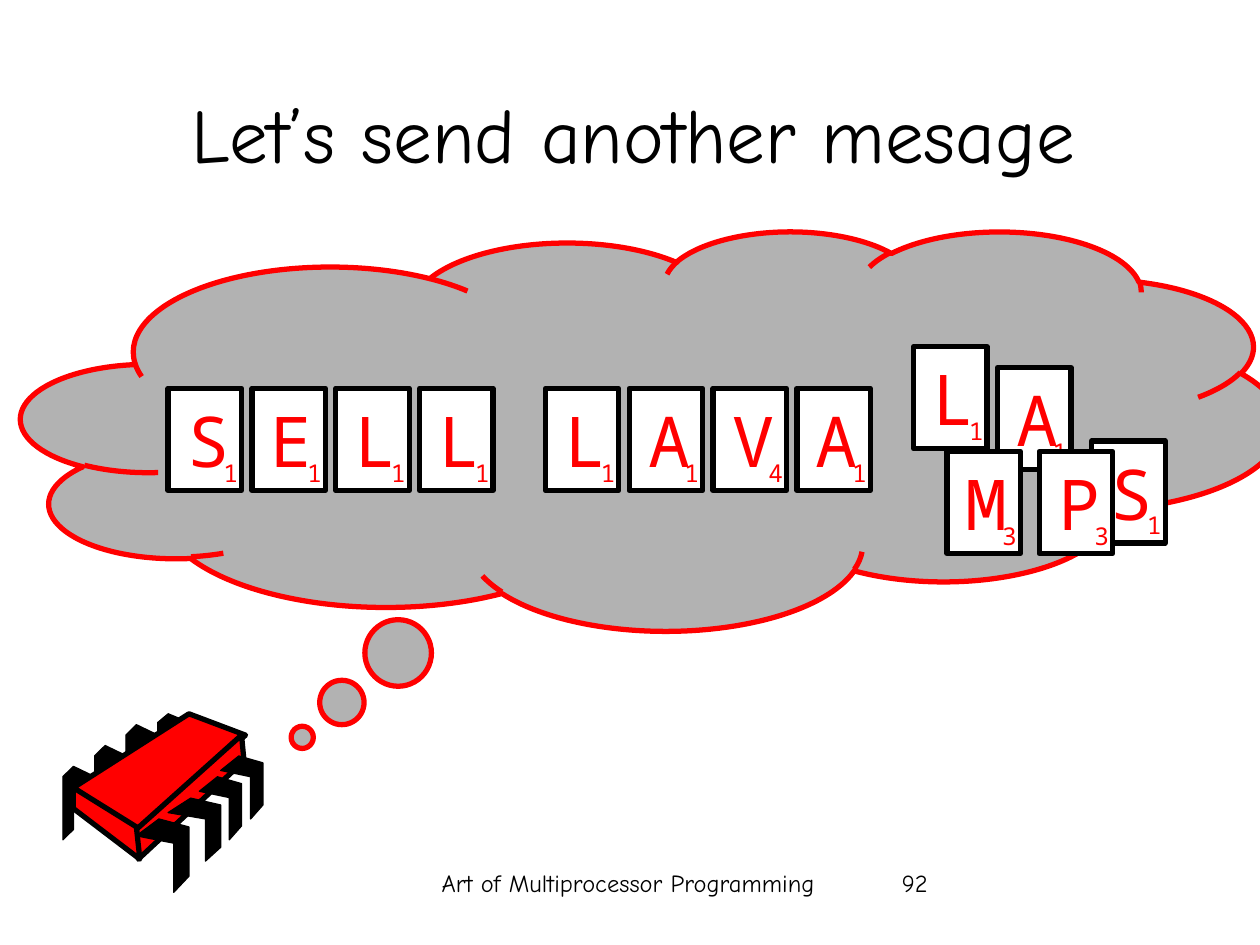
"""Build the slide with a chip thinking of a message in letter tiles."""
from pptx import Presentation
from pptx.dml.color import RGBColor
from pptx.enum.shapes import MSO_SHAPE
from pptx.enum.text import MSO_ANCHOR, MSO_AUTO_SIZE, PP_ALIGN
from pptx.util import Cm, Pt

hue = RGBColor.from_string


def write(shape, text, font="Comic Neue", size=14, color="000000",
          align=PP_ALIGN.LEFT, anchor=MSO_ANCHOR.TOP, wrap=True):
    """Fill a shape with one formatted paragraph."""
    frame = shape.text_frame
    frame.text = text
    frame.auto_size = MSO_AUTO_SIZE.NONE
    frame.word_wrap = wrap
    frame.vertical_anchor = anchor
    line = frame.paragraphs[0]
    line.alignment = align
    line.font.name = font
    line.font.size = Pt(size)
    line.font.color.rgb = hue(color)


def paint(shape, fill, edge="000000", width=3):
    """Set fill and outline, without a shadow."""
    shape.shadow.inherit = False
    shape.fill.solid()
    shape.fill.fore_color.rgb = hue(fill)
    shape.line.color.rgb = hue(edge)
    shape.line.width = Pt(width)


deck = Presentation()
deck.slide_width, deck.slide_height = Cm(25.4), Cm(19.05)
slide = deck.slides.add_slide(deck.slide_layouts[5])
shapes = slide.shapes

title = shapes.title
title.left, title.top, title.width, title.height = Cm(1.98), Cm(1.09), Cm(21.59), Cm(3.18)
write(title, "Let’s send another mesage", size=44,
      align=PP_ALIGN.CENTER, anchor=MSO_ANCHOR.MIDDLE)

foot = shapes.add_textbox(Cm(8.64), Cm(17.37), Cm(8.05), Cm(1.27))
write(foot, "Art of Multiprocessor Programming", align=PP_ALIGN.CENTER)
page = shapes.add_textbox(Cm(17.93), Cm(17.37), Cm(5.28), Cm(1.27))
write(page, "92")

cloud = shapes.add_shape(MSO_SHAPE.CLOUD_CALLOUT, Cm(0.43), Cm(4.65), Cm(25.4), Cm(8.05))
cloud.adjustments[0], cloud.adjustments[1] = -0.277, 0.769
paint(cloud, "B2B2B2", edge="FF0000")

back = [(1, 0.14), (0.33, 0), (0, 0.14), (0, 1), (0.33, 0.86), (0.33, 0.29), (1, 0.43)]
front = [(0.43, 0), (0, 0.23), (0.71, 0.33), (0.71, 1), (1, 0.78), (1, 0.11)]
body = [
    [(3.81, 14.39), (1.48, 15.88), (2.79, 16.76), (4.95, 14.82)],
    [(4.87, 14.82), (2.75, 16.72), (2.79, 17.32), (4.92, 15.34)],
    [(1.48, 15.88), (1.48, 16.3), (2.82, 17.32), (2.75, 16.67)],
]
legs = [
    (back, 1.27, 15.45, 0.64, 1.48), (back, 1.91, 15.03, 0.64, 1.48),
    (back, 2.54, 14.61, 0.64, 1.48), (back, 3.18, 14.39, 0.64, 1.27),
    (front, 2.75, 16.51, 1.06, 1.48), (front, 3.39, 16.09, 1.06, 1.27),
    (front, 4.02, 15.66, 0.85, 1.27), (front, 4.45, 15.24, 0.85, 1.27),
]
parts = [([(x + u * w, y + v * h) for u, v in form], "000000", 0.75)
         for form, x, y, w, h in legs]
parts[4:4] = [(side, "FF0000", 3) for side in body]
for spots, fill, width in parts:
    spots = [(Cm(x), Cm(y)) for x, y in spots]
    pen = shapes.build_freeform(*spots[0])
    pen.add_line_segments(spots[1:], close=True)
    paint(pen.convert_to_shape(), fill, width=width)

score = {"V": 4, "M": 3, "P": 3}
tiles = [("S", 22.01, 8.89)]
for start, word in [(0, "SELL"), (4.5, "LAVA")]:
    tiles += [(mark, 3.39 + 1.69 * (start + i), 7.83) for i, mark in enumerate(word)]
tiles += [("L", 18.42, 6.99), ("A", 20.11, 7.41), ("M", 19.09, 9.1), ("P", 20.95, 9.1)]
for mark, x, y in tiles:
    tile = shapes.add_shape(MSO_SHAPE.RECTANGLE, Cm(x), Cm(y), Cm(1.48), Cm(2.06))
    paint(tile, "FFFFFF")
    write(tile, mark, font="Noto Sans Mono", size=40, color="FF0000",
          align=PP_ALIGN.RIGHT, anchor=MSO_ANCHOR.MIDDLE)
    worth = shapes.add_textbox(Cm(x + 0.85), Cm(y + 1.27), Cm(0.81), Cm(0.84))
    write(worth, str(score.get(mark, 1)), font="Noto Sans Mono", color="FF0000",
          align=PP_ALIGN.RIGHT, wrap=False)

deck.save("out.pptx")
